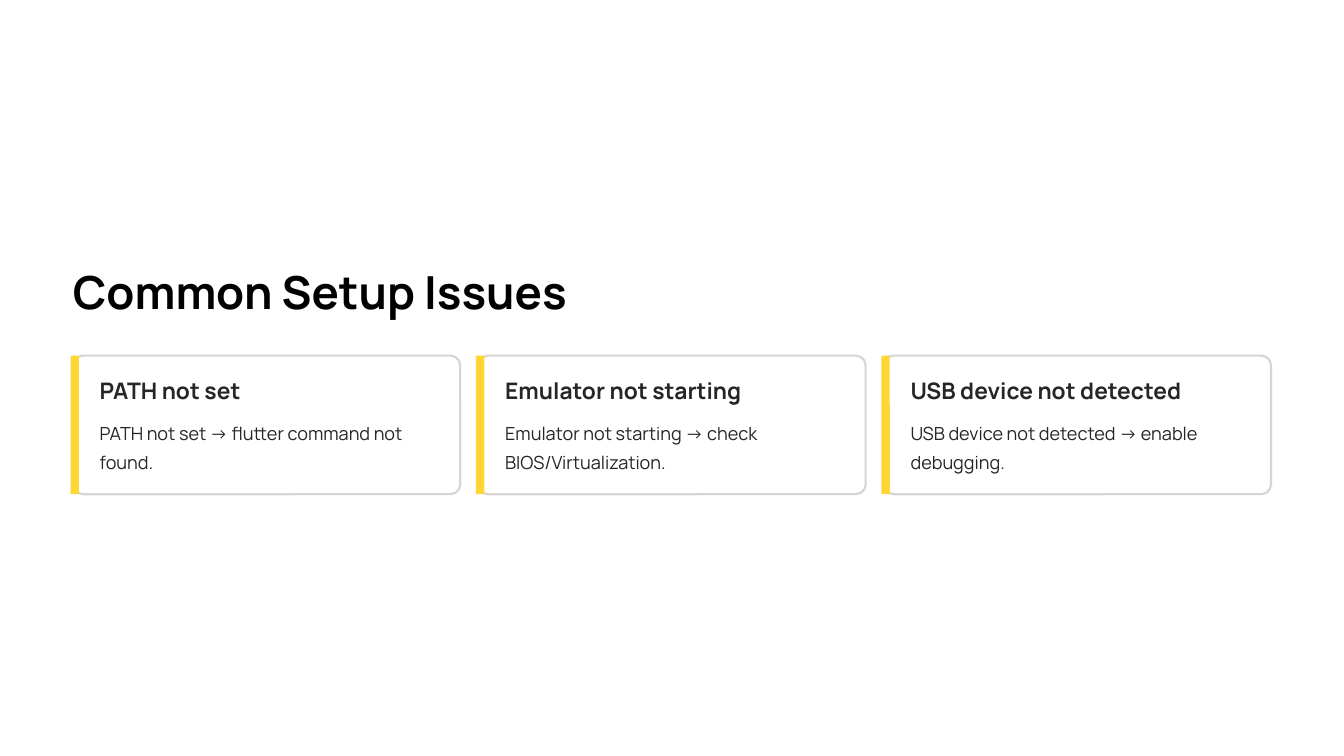
import pptx
import pptx.util
from pptx.dml.color import RGBColor
from pptx.enum.shapes import MSO_SHAPE

# Content
TITLE = "Common Setup Issues"
ISSUES = [
    ("PATH not set", "PATH not set → flutter command not found."),
    ("Emulator not starting", "Emulator not starting → check BIOS/Virtualization."),
    ("USB device not detected", "USB device not detected → enable debugging."),
]

# Colours and text formats
WHITE = RGBColor(0xFF, 0xFF, 0xFF)
BLACK = RGBColor(0x00, 0x00, 0x00)
INK = RGBColor(0x27, 0x25, 0x25)
BORDER = RGBColor(0xD8, 0xD4, 0xD4)
YELLOW = RGBColor(0xFF, 0xD6, 0x34)
FONT = "Manrope"
TITLE_FORMAT = {"size": pptx.util.Pt(39), "bold": True}
HEADING_FORMAT = {"size": pptx.util.Pt(19.5), "bold": True}
BODY_FORMAT = {"size": pptx.util.Pt(15.5), "bold": False}

# Layout in points
SLIDE_WIDTH, SLIDE_HEIGHT = 1152, 648
CARD_LEFT, CARD_TOP, CARD_WIDTH, CARD_HEIGHT = 62.5, 304.8, 332, 118.8
CARD_PITCH = 347.5
BAR_OFFSET, BAR_WIDTH = -2, 7.2
TEXT_OFFSET, TEXT_WIDTH = 23, 291.5


def add_text(slide, text, box, line_spacing, color, text_format):
    text_box = slide.shapes.add_textbox(*map(pptx.util.Pt, box))
    frame = text_box.text_frame
    margins = ("margin_left", "margin_top", "margin_right", "margin_bottom")
    for name, value in {"word_wrap": True, **dict.fromkeys(margins, 0)}.items():
        setattr(frame, name, value)
    paragraph = frame.paragraphs[0]
    paragraph.line_spacing = pptx.util.Pt(line_spacing)
    run = paragraph.add_run()
    run.text = text
    for name, value in {"name": FONT, **text_format}.items():
        setattr(run.font, name, value)
    run.font.color.rgb = color


def add_rounded(slide, box, corner, fill, border=None):
    shape = slide.shapes.add_shape(
        MSO_SHAPE.ROUNDED_RECTANGLE, *map(pptx.util.Pt, box))
    shape.adjustments[0] = corner
    shape.shadow.inherit = False
    shape.fill.solid()
    shape.fill.fore_color.rgb = fill
    if border is None:
        shape.line.fill.background()
    else:
        shape.line.color.rgb = border
        shape.line.width = pptx.util.Pt(1.8)


def add_card(slide, left, heading, body):
    add_rounded(slide, (left, CARD_TOP, CARD_WIDTH, CARD_HEIGHT), 0.07, WHITE, BORDER)
    add_rounded(slide, (left + BAR_OFFSET, CARD_TOP, BAR_WIDTH, CARD_HEIGHT), 0.1, YELLOW)
    text_left = left + TEXT_OFFSET
    add_text(slide, heading, (text_left, CARD_TOP + 17.3, TEXT_WIDTH, 24.5), 24, INK, HEADING_FORMAT)
    add_text(slide, body, (text_left, CARD_TOP + 51, TEXT_WIDTH, 49.7), 25, INK, BODY_FORMAT)


def main():
    presentation = pptx.Presentation()
    presentation.slide_width = pptx.util.Pt(SLIDE_WIDTH)
    presentation.slide_height = pptx.util.Pt(SLIDE_HEIGHT)
    slide = presentation.slides.add_slide(presentation.slide_layouts[6])
    slide.background.fill.solid()
    slide.background.fill.fore_color.rgb = WHITE

    # Title
    add_text(slide, TITLE, (CARD_LEFT, 224.6, 449, 49), 48.5, BLACK, TITLE_FORMAT)

    # Issue cards
    for index, (heading, body) in enumerate(ISSUES):
        add_card(slide, CARD_LEFT + index * CARD_PITCH, heading, body)

    presentation.save("out.pptx")


if __name__ == "__main__":
    main()
